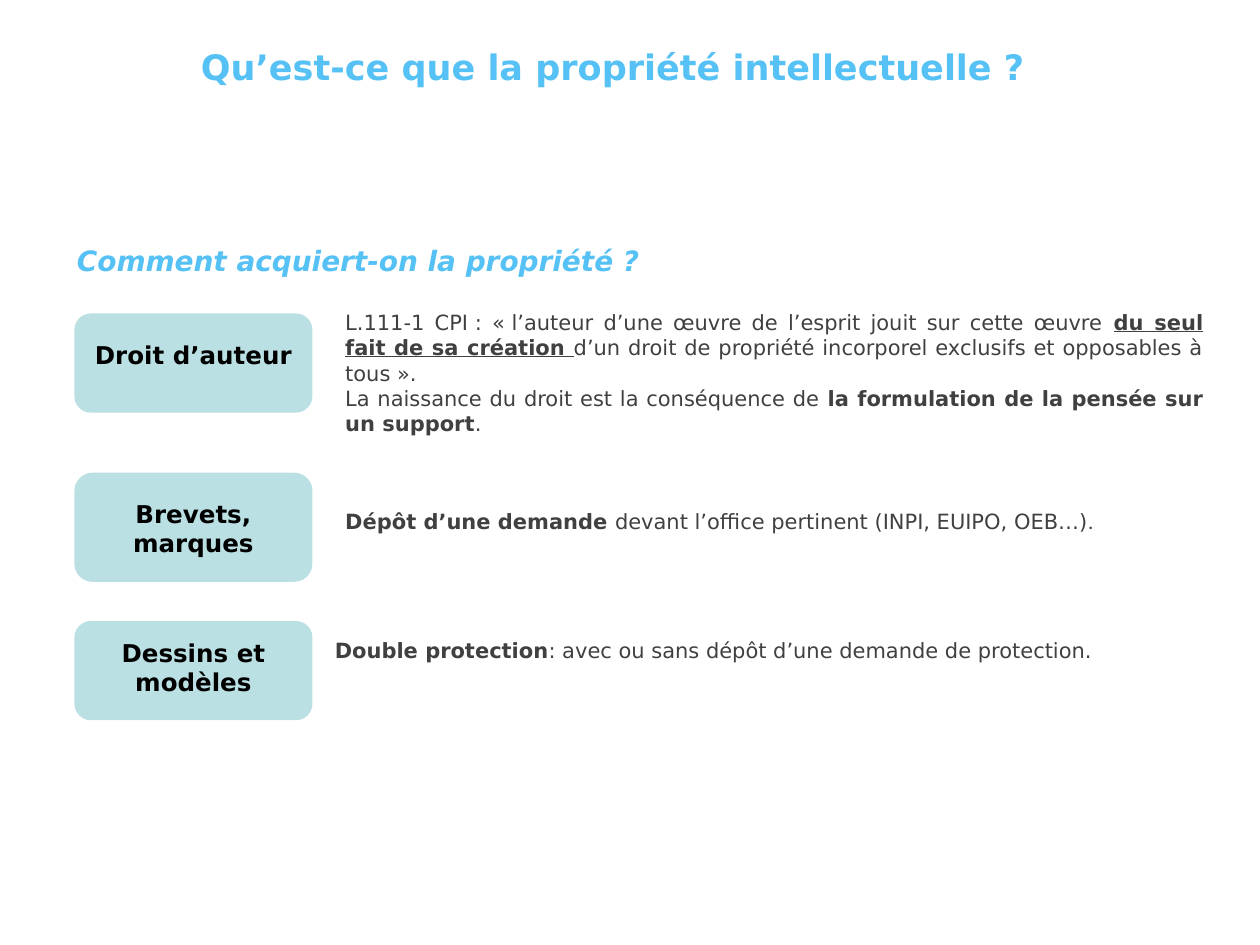
import pptx
import pptx.util
from pptx.dml.color import RGBColor
from pptx.enum.shapes import MSO_SHAPE
from pptx.enum.text import PP_ALIGN
from pptx.util import Cm, Pt

SKY = RGBColor(0x56, 0xC1, 0xF4)
TEAL = RGBColor(0xBB, 0xE0, 0xE3)
BLACK = RGBColor(0, 0, 0)
GREY = RGBColor(0x40, 0x40, 0x40)

LEFT, WIDE = 1.5, 4.8    # label column, in cm
BODY = 17.8              # width of the explanations, in cm


class Page:
    """Holds the font and the slide being filled."""

    font = "DejaVu Sans"

    def __init__(self, slide):
        self.slide = slide

    def style(self, run, size, color, bold=False, italic=False, under=False, font=None):
        face = run.font
        face.name = font or self.font
        face.size = Pt(size)
        face.color.rgb = color
        face.bold, face.italic, face.underline = bold, italic, under

    def box(self, left, top, width, height):
        frame = self.slide.shapes.add_textbox(
            Cm(left), Cm(top), Cm(width), Cm(height)).text_frame
        frame.word_wrap = True
        return frame

    def line(self, text, place, size, color, align=PP_ALIGN.LEFT, italic=False):
        """Adds a bold text in a single style."""
        frame = self.box(*place)
        frame.text = text
        para = frame.paragraphs[0]
        para.alignment = align
        self.style(para.runs[0], size, color, bold=True, italic=italic)

    def prose(self, paras, place):
        """Adds justified paragraphs, each a list of (text, style) parts."""
        frame = self.box(*place)
        for i, parts in enumerate(paras):
            para = frame.add_paragraph() if i else frame.paragraphs[0]
            para.alignment = PP_ALIGN.JUSTIFY
            for text, look in parts:
                run = para.add_run()
                run.text = text
                self.style(run, 12, GREY, **look)

    def panel(self, top, height):
        shape = self.slide.shapes.add_shape(
            MSO_SHAPE.ROUNDED_RECTANGLE, Cm(LEFT), Cm(top), Cm(WIDE), Cm(height))
        shape.shadow.inherit = False
        shape.fill.solid()
        shape.fill.fore_color.rgb = TEAL
        shape.line.fill.background()


PLAIN = {}
BOLD = {"bold": True}
KEY = {"bold": True, "under": True}

AUTHOR = [
    [("L.111-1 CPI\u00a0: «\u00a0l’auteur d’une œuvre de l’esprit jouit sur cette œuvre ", PLAIN),
     ("du seul fait de sa création ", KEY),
     ("d’un droit de propriété incorporel exclusifs et opposables à tous\u00a0».", PLAIN)],
    [("La naissance du droit est la conséquence de ", PLAIN),
     ("la formulation de la pensée sur un support", BOLD),
     (".", PLAIN)],
]
PATENT = [[("Dépôt d’une demande ", BOLD),
           ("devant l’office pertinent (INPI, EUIPO, OEB…)", PLAIN),
           (".", {"font": "Calibri"})]]
DESIGN = [[("Double protection", BOLD),
           (": avec ou sans dépôt d’une demande de protection.", PLAIN)]]

# label, panel (top, height), label (top, height), prose, prose (left, top, height)
ROWS = [
    ("Droit d’auteur", (6.32, 2), (6.73, 0.86), AUTHOR, (6.71, 6.12, 2.82)),
    ("Brevets, marques", (9.53, 2.2), (9.93, 1.45), PATENT, (6.71, 10.13, 1.27)),
    ("Dessins et modèles", (12.52, 2), (12.73, 1.45), DESIGN, (6.5, 12.73, 1.27)),
]


def main():
    deck = pptx.Presentation()
    deck.slide_width, deck.slide_height = Cm(25.4), Cm(19.05)
    page = Page(deck.slides.add_slide(deck.slide_layouts[6]))

    page.line("Qu’est-ce que la propriété intellectuelle ?",
              (3.8, 0.8, BODY, 1.1), 20, SKY)
    page.line("Comment acquiert-on la propriété\u00a0?",
              (1.3, 4.78, 22.86, 0.95), 16, SKY, italic=True)

    for label, panel, spot, paras, (left, top, height) in ROWS:
        page.panel(*panel)
        page.line(label, (LEFT, spot[0], WIDE, spot[1]), 14, BLACK, PP_ALIGN.CENTER)
        page.prose(paras, (left, top, BODY, height))

    deck.save("out.pptx")


if __name__ == "__main__":
    main()
